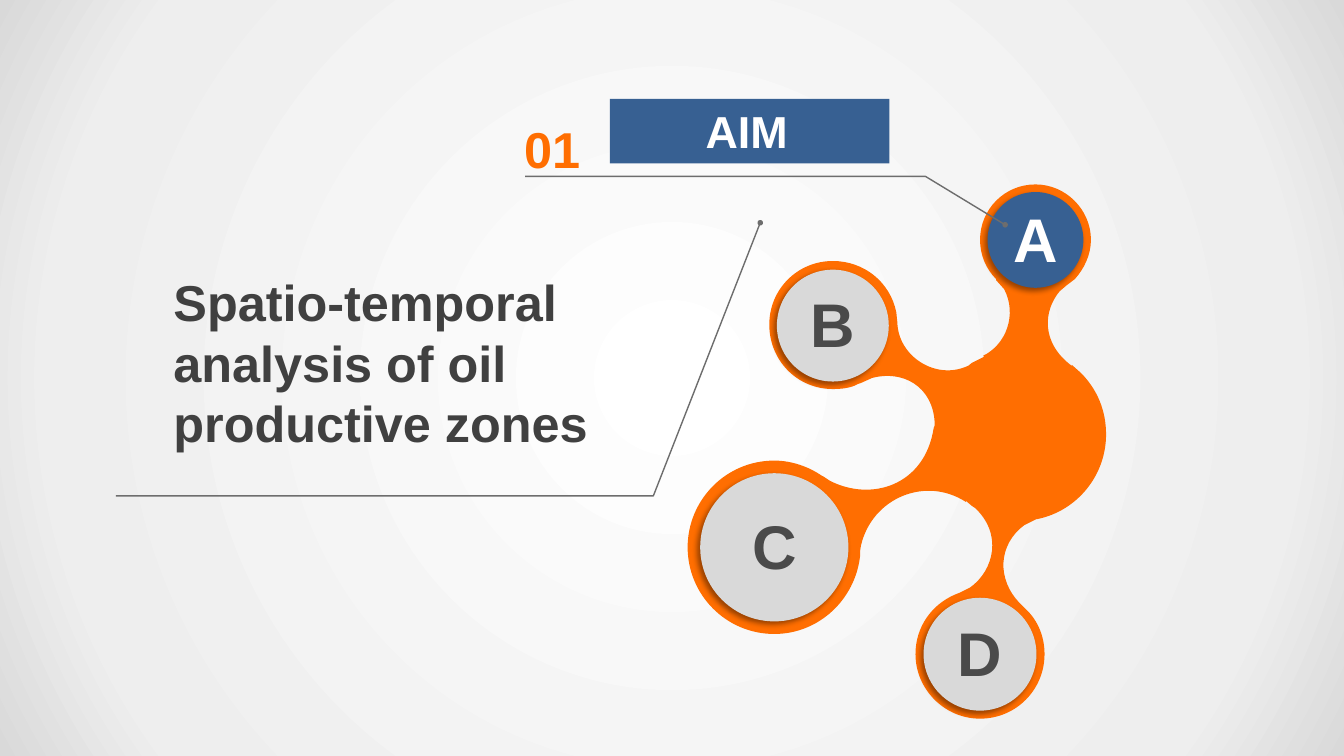
"""Build the aim slide: a branching diagram with four lettered nodes."""
from dataclasses import dataclass

from lxml import etree
from pptx import Presentation
from pptx.dml.color import RGBColor
from pptx.enum.shapes import MSO_SHAPE
from pptx.enum.text import MSO_ANCHOR, MSO_AUTO_SIZE, PP_ALIGN
from pptx.oxml import parse_xml
from pptx.oxml.ns import qn
from pptx.shapes.autoshape import Shape
from pptx.slide import Slide
from pptx.text.text import TextFrame
from pptx.util import Inches, Pt

OVAL, MIDDLE, TOP = MSO_SHAPE.OVAL, MSO_ANCHOR.MIDDLE, MSO_ANCHOR.TOP
CENTER, LEFT, FIXED = PP_ALIGN.CENTER, PP_ALIGN.LEFT, MSO_AUTO_SIZE.NONE
ORANGE = RGBColor(0xFF, 0x6E, 0x01)
BLUE = RGBColor(0x37, 0x60, 0x92)
WHITE = RGBColor(0xFF, 0xFF, 0xFF)
SILVER = RGBColor(0xD9, 0xD9, 0xD9)
PALE = RGBColor(0xEE, 0xEE, 0xEE)
BLACK = RGBColor(0, 0, 0)
DARK = RGBColor(0x40, 0x40, 0x40)
SLATE = RGBColor(0x4A, 0x4A, 0x4A)
GRAY = RGBColor(0x6D, 0x6D, 0x6D)
FONT = "Arial"
Point = tuple[float, float]


@dataclass(frozen=True)
class Node:
    """A lettered disc given by its centre and diameter."""
    letter: str
    x: float
    y: float
    size: float
    fill: RGBColor = SILVER
    color: RGBColor = SLATE


NODES = (
    Node("B", 8.26, 3.23, 1.11),
    Node("D", 9.72, 6.49, 1.12),
    Node("A", 10.27, 2.38, 0.95, BLUE, WHITE),
    Node("C", 7.68, 5.43, 1.47),
)
LEADS: tuple[list[Point], ...] = (
    [(9.97, 2.23), (9.18, 1.75), (5.21, 1.75)],
    [(7.54, 2.21), (6.48, 4.92), (1.15, 4.92)],
)
STOPS = ((0, WHITE), (81, PALE), (100, SILVER))
START: Point = (10.27, 1.83)
BRANCH: tuple[tuple[float, ...], ...] = (
    (10.57, 1.83, 10.82, 2.08, 10.82, 2.38),
    (10.82, 2.53, 10.75, 2.67, 10.66, 2.77),
    (10.58, 2.83), (10.51, 2.89),
    (10.35, 3.08, 10.32, 3.4, 10.63, 3.63),
    (10.63, 3.62), (10.72, 3.7),
    (10.88, 3.86, 10.97, 4.07, 10.97, 4.31),
    (10.97, 4.72, 10.68, 5.07, 10.29, 5.15),
    (10.28, 5.15), (10.16, 5.21),
    (9.9, 5.4, 9.88, 5.75, 10.12, 5.99),
    (10.17, 6.04),
    (10.29, 6.15, 10.36, 6.31, 10.36, 6.49),
    (10.36, 6.84, 10.08, 7.13, 9.72, 7.13),
    (9.37, 7.13, 9.08, 6.84, 9.08, 6.49),
    (9.08, 6.22, 9.24, 6, 9.47, 5.9),
    (9.52, 5.88), (9.62, 5.83),
    (9.86, 5.66, 9.95, 5.29, 9.66, 5.03),
    (9.67, 5.04), (9.64, 5.02), (9.58, 4.97), (9.58, 4.98),
    (9.18, 4.72, 8.65, 4.94, 8.54, 5.41),
    (8.53, 5.47), (8.53, 5.52),
    (8.48, 5.95, 8.12, 6.29, 7.68, 6.29),
    (7.2, 6.29, 6.82, 5.9, 6.82, 5.43),
    (6.82, 4.96, 7.2, 4.57, 7.68, 4.57),
    (7.85, 4.57, 8.02, 4.63, 8.15, 4.72),
    (8.17, 4.73), (8.23, 4.77),
    (8.64, 4.98, 9.17, 4.82, 9.26, 4.25),
    (9.27, 4.22), (9.27, 4.19),
    (9.25, 3.83, 8.95, 3.67, 8.65, 3.75),
    (8.54, 3.8), (8.51, 3.81),
    (8.44, 3.85, 8.35, 3.86, 8.26, 3.86),
    (7.91, 3.86, 7.63, 3.58, 7.63, 3.22),
    (7.63, 2.87, 7.91, 2.59, 8.26, 2.59),
    (8.57, 2.59, 8.83, 2.8, 8.89, 3.1),
    (8.9, 3.2), (8.9, 3.19),
    (8.9, 3.53, 9.28, 3.78, 9.6, 3.63),
    (9.59, 3.64), (9.64, 3.6), (9.76, 3.54), (9.75, 3.53),
    (9.98, 3.42, 10.09, 3.12, 9.96, 2.87),
    (9.88, 2.78), (9.88, 2.77),
    (9.78, 2.67, 9.72, 2.53, 9.72, 2.38),
    (9.72, 2.08, 9.96, 1.83, 10.27, 1.83),
)


def draw(slide: Slide, points: list[Point], close: bool) -> Shape:
    """Draw an outline through points given in inches."""
    spots = [(Inches(x), Inches(y)) for x, y in points]
    pen = slide.shapes.build_freeform(*spots[0])
    pen.add_line_segments(spots[1:], close=close)
    shape = pen.convert_to_shape()
    shape.shadow.inherit = False
    return shape


def add_branch(slide: Slide) -> None:
    """Draw the branching body, bending its sides into curves."""
    shape = draw(slide, [START, *((part[-2], part[-1]) for part in BRANCH)], True)
    sides = list(shape._element.spPr.iter(qn("a:lnTo")))
    for side, part in zip(sides, BRANCH):
        if len(part) == 2:
            continue
        side.tag = qn("a:cubicBezTo")
        for i in (0, 2):
            spot = etree.Element(qn("a:pt"), x=str(Inches(part[i]) - shape.left),
                                 y=str(Inches(part[i + 1]) - shape.top))
            side.insert(i // 2, spot)
    shape.fill.solid()
    shape.fill.fore_color.rgb = ORANGE
    shape.line.fill.background()


def write(frame: TextFrame, text: str, size: int, color: RGBColor,
          align: PP_ALIGN = LEFT, anchor: MSO_ANCHOR = TOP) -> None:
    """Fill a frame with one bold paragraph."""
    frame.text = text
    frame.word_wrap = True
    frame.auto_size = FIXED
    frame.vertical_anchor = anchor
    para = frame.paragraphs[0]
    para.alignment = align
    para.space_before = Pt(0)
    font = para.runs[0].font
    font.name, font.size, font.bold = FONT, Pt(size), True
    font.color.rgb = color


def place(shape: Shape, x: float, y: float, wide: float, high: float) -> None:
    """Set the box of a shape in inches."""
    shape.left, shape.top = Inches(x), Inches(y)
    shape.width, shape.height = Inches(wide), Inches(high)


def paint(slide: Slide) -> None:
    """Give the slide its round gradient."""
    slide.background.fill.gradient()
    grad = slide.background.fill._xPr.find(qn("a:gradFill"))
    stops = "".join(f'<a:gs pos="{pos * 1000}"><a:srgbClr val="{tone}"/></a:gs>'
                    for pos, tone in STOPS)
    fresh = parse_xml(
        '<a:gradFill xmlns:a="http://schemas.openxmlformats.org/drawingml/2006/main"'
        f' rotWithShape="1"><a:gsLst>{stops}</a:gsLst><a:path path="circle">'
        '<a:fillToRect l="50000" t="50000" r="50000" b="50000"/></a:path></a:gradFill>')
    grad.getparent().replace(grad, fresh)


def add_node(slide: Slide, node: Node) -> None:
    """Draw a disc with its letter and soft shadow."""
    half = node.size / 2
    disc = slide.shapes.add_shape(OVAL, Inches(node.x - half), Inches(node.y - half),
                                  Inches(node.size), Inches(node.size))
    disc.fill.solid()
    disc.fill.fore_color.rgb = node.fill
    disc.line.fill.background()
    disc.shadow.inherit = False
    glow = etree.SubElement(disc._element.spPr.find(qn("a:effectLst")),
                            qn("a:outerShdw"), blurRad=str(Pt(4)), dist=str(Pt(3)),
                            dir=str(135 * 60000), algn="tr", rotWithShape="0")
    tone = etree.SubElement(glow, qn("a:srgbClr"), val=str(BLACK))
    etree.SubElement(tone, qn("a:alpha"), val="40000")
    frame = disc.text_frame
    frame.margin_left = frame.margin_right = Inches(0.02)
    frame.margin_top, frame.margin_bottom = Inches(0.05), Inches(0.1)
    write(frame, node.letter, 44, node.color, CENTER, MIDDLE)


def add_lead(slide: Slide, points: list[Point]) -> None:
    """Draw a thin bent line that starts with a dot."""
    lead = draw(slide, points, False)
    lead.fill.background()
    lead.line.color.rgb = GRAY
    lead.line.width = Pt(1)
    etree.SubElement(lead.line._get_or_add_ln(), qn("a:headEnd"), type="oval", w="sm", len="sm")


def main() -> None:
    """Build and save the slide."""
    deck = Presentation()
    deck.slide_width, deck.slide_height = Inches(13.33), Inches(7.5)
    slide = deck.slides.add_slide(deck.slide_layouts[1])
    paint(slide)
    title, body = slide.placeholders
    place(title, 6.05, 0.98, 2.77, 0.64)
    title.fill.solid()
    title.fill.fore_color.rgb = BLUE
    title.text_frame.margin_right = Inches(0.16)
    write(title.text_frame, "AIM", 32, WHITE, CENTER, MIDDLE)
    place(body, 1.62, 2.64, 6, 3.85)
    write(body.text_frame, "Spatio-temporal analysis of oil productive zones", 36, DARK)
    props = body.text_frame.paragraphs[0]._p.get_or_add_pPr()
    props.set("marL", "0")
    props.set("indent", "0")
    etree.SubElement(props, qn("a:buNone"))
    add_branch(slide)
    for node in NODES:
        add_node(slide, node)
    label = slide.shapes.add_textbox(Inches(5.1), Inches(1.12), Inches(0.81), Inches(0.57))
    write(label.text_frame, "01", 36, ORANGE)
    for points in LEADS:
        add_lead(slide, points)
    deck.save("out.pptx")


if __name__ == "__main__":
    main()
